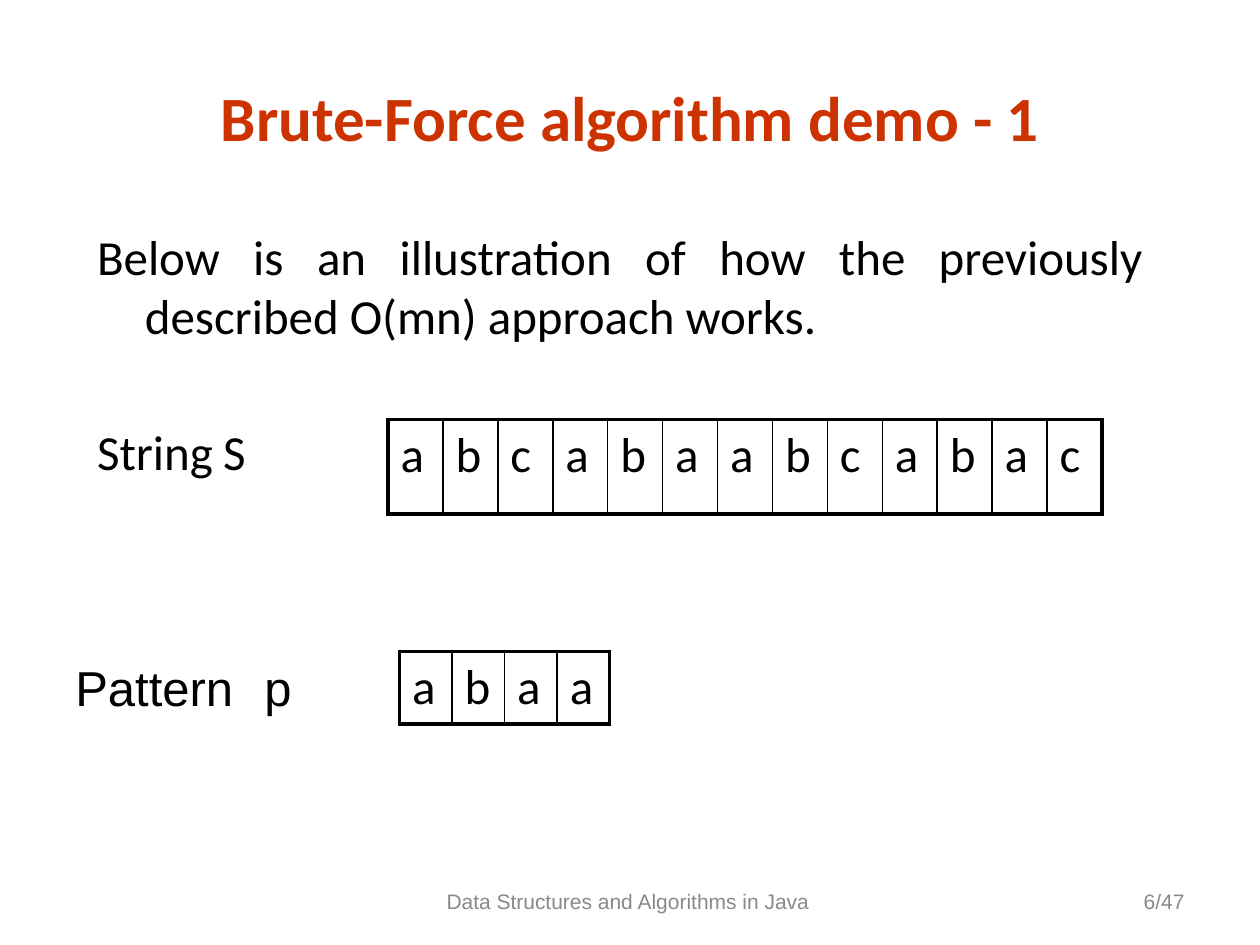
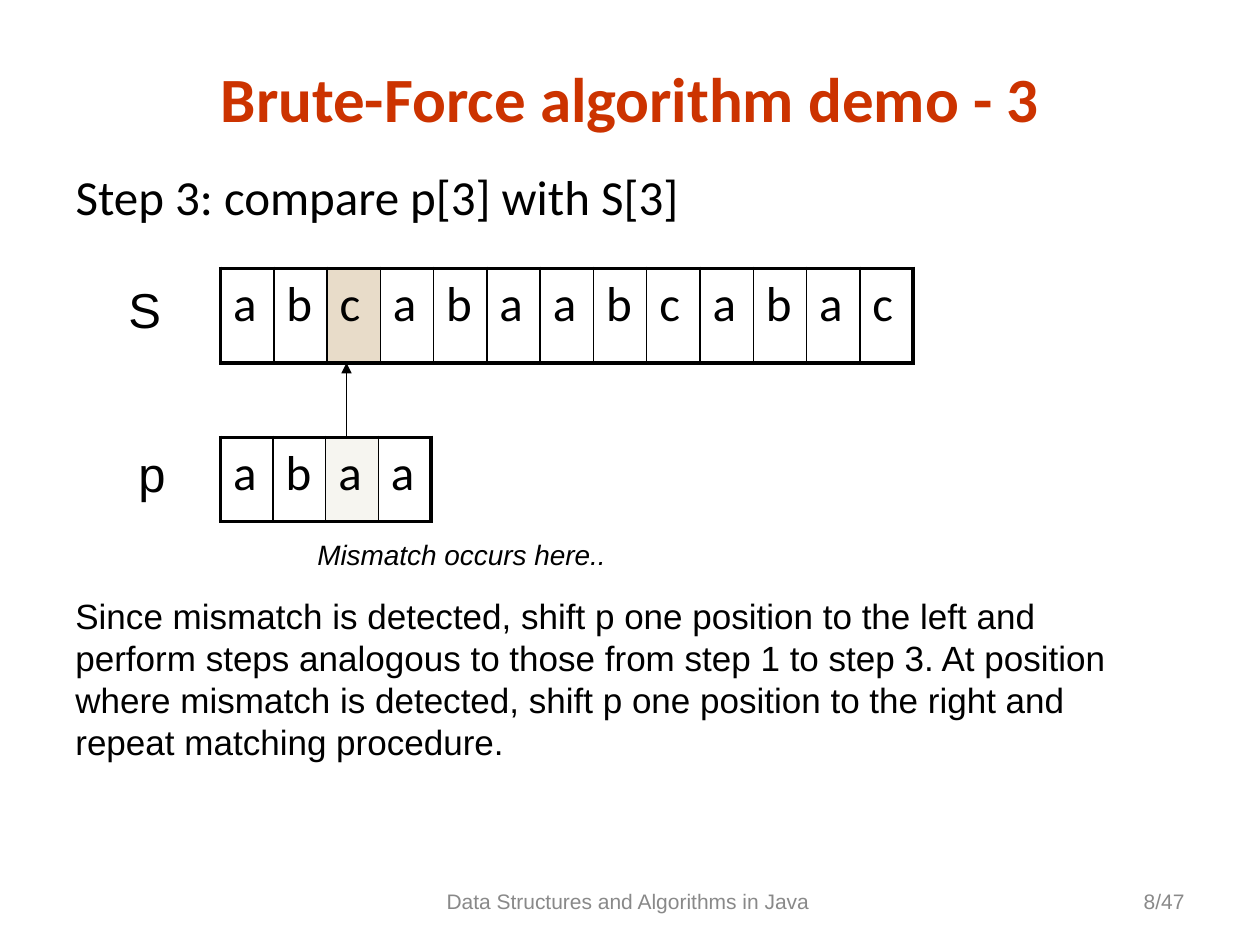
"""Build two slides that demonstrate brute-force string matching."""
import dataclasses

import lxml.etree
import pptx
import pptx.dml.color
import pptx.enum.shapes
import pptx.enum.text
import pptx.oxml.ns
import pptx.util

Inches = pptx.util.Inches
Pt = pptx.util.Pt
Color = pptx.dml.color.RGBColor.from_string
Align = pptx.enum.text.PP_ALIGN
Anchor = pptx.enum.text.MSO_ANCHOR
qn = pptx.oxml.ns.qn


@dataclasses.dataclass(frozen=True)
class Theme:
    """Colours, fonts and type sizes shared by the slides."""
    title: str = "CC3300"
    ink: str = "000000"
    footer: str = "898989"
    text_cell: str = "E8DCC9"
    pattern_cell: str = "F6F5F0"
    serifless: str = "Arial"
    main: str = "Calibri"
    title_size: float = 36
    large: float = 28
    medium: float = 20
    note: float = 16
    small: float = 12
    outer_line: float = 2.25
    inner_line: float = 1
    arrow_line: float = 0.75


theme = Theme()
STRING_S = "abcabaabcabac"
PATTERN_P = "abaa"
HANGING = Inches(0.38)


def write(box, area, lines, size, font=theme.serifless, color=theme.ink, align=Align.LEFT,
          anchor=Anchor.TOP, bold=False, italic=False, tab=None):
    """Place a text shape and fill it with formatted paragraphs."""
    box.left, box.top, box.width, box.height = map(Inches, area)
    frame = box.text_frame
    frame.word_wrap = True
    frame.auto_size = pptx.enum.text.MSO_AUTO_SIZE.NONE
    frame.vertical_anchor = anchor
    frame.text = "\n".join(lines)
    for para in frame.paragraphs:
        para.alignment = align
        para.space_before = Pt(0)
        properties = para._p.get_or_add_pPr()
        properties.set("marL", "0")
        properties.set("indent", "0")
        lxml.etree.SubElement(properties, qn("a:buNone"))
        if tab and "\t" in para.text:
            stops = lxml.etree.SubElement(properties, qn("a:tabLst"))
            lxml.etree.SubElement(stops, qn("a:tab"), pos=str(Inches(tab)), algn="l")
        for span in para.runs:
            span.font.name, span.font.size = font, Pt(size)
            span.font.bold, span.font.italic = bold, italic
            span.font.color.rgb = Color(color)
    return box


def add_letters(page, letters, area, marked=None, mark_color=None):
    """Add a one-row table with a letter per cell and one optional marked cell."""
    left, top, width, height = map(Inches, area)
    table = page.shapes.add_table(1, len(letters), left, top, width, height).table
    table.first_row = table.horz_banding = False
    last = len(letters) - 1
    for index, letter in enumerate(letters):
        table.columns[index].width = width // len(letters)
        cell = table.cell(0, index)
        cell.text = letter
        span = cell.text_frame.paragraphs[0].runs[0]
        span.font.name, span.font.size = theme.main, Pt(theme.large)
        span.font.color.rgb = Color(theme.ink)
        outer = {"lnL": index == 0, "lnR": index == last, "lnT": True, "lnB": True}
        for side, is_outer in outer.items():
            weight = theme.outer_line if is_outer else theme.inner_line
            border = lxml.etree.SubElement(cell._tc.get_or_add_tcPr(), qn(f"a:{side}"),
                                           w=str(int(Pt(weight))))
            fill = lxml.etree.SubElement(border, qn("a:solidFill"))
            lxml.etree.SubElement(fill, qn("a:srgbClr"), val=theme.ink)
        if index == marked:
            cell.fill.solid()
            cell.fill.fore_color.rgb = Color(mark_color)
        else:
            cell.fill.background()


deck = pptx.Presentation()
deck.slide_width, deck.slide_height = Inches(10), Inches(7.5)

pages = []
for demo, number, title_top in [(1, 6, 0.57), (3, 8, 0.42)]:
    page = deck.slides.add_slide(deck.slide_layouts[1])
    write(page.shapes.title, (0.5, title_top, 9, 0.7), [f"Brute-Force algorithm demo - {demo}"],
          theme.title_size, theme.main, theme.title, Align.CENTER, Anchor.MIDDLE, bold=True)
    for area, words, align in [
        ((3.4, 6.95, 3.17, 0.4), "Data Structures and Algorithms in Java", Align.CENTER),
        ((7.17, 6.95, 2.33, 0.4), f"{number}/47", Align.RIGHT),
    ]:
        write(page.shapes.add_textbox(0, 0, 0, 0), area, [words], theme.small,
              color=theme.footer, align=align, anchor=Anchor.MIDDLE)
    pages.append(page)
intro, step = pages

body = write(intro.placeholders[1], (0.67, 1.75, 8.5, 4.95),
             ["Below is an illustration of how the previously described O(mn) approach works.",
              "String\tS"],
             theme.large, theme.main, align=Align.JUSTIFY, tab=1.1)
illustration, string_label = body.text_frame.paragraphs
illustration._p.pPr.set("marL", str(HANGING))
illustration._p.pPr.set("indent", str(-HANGING))
string_label.alignment = Align.LEFT
string_label.space_before = Pt(44)
add_letters(intro, STRING_S, (3.08, 3.33, 5.67, 0.75))
write(intro.shapes.add_textbox(0, 0, 0, 0), (0.5, 5.17, 2.2, 0.57), ["Pattern\tp"],
      theme.large, tab=1.58)
add_letters(intro, PATTERN_P, (3.17, 5.17, 1.67, 0.57))

write(step.placeholders[1], (0.5, 1.27, 9, 0.57), ["Step 3: compare p[3] with S[3]"],
      theme.large, theme.main)
add_letters(step, STRING_S, (1.75, 2.13, 5.5, 0.75), 2, theme.text_cell)
add_letters(step, PATTERN_P, (1.75, 3.47, 1.67, 0.67), 2, theme.pattern_cell)
for label, left, top in [("S", 0.92, 2.17), ("p", 1, 3.47)]:
    write(step.shapes.add_textbox(0, 0, 0, 0), (left, top, 0.5, 0.57), [label], theme.large)
write(step.shapes.add_textbox(0, 0, 0, 0), (2.42, 4.22, 2.6, 0.37),
      ["Mismatch occurs here.."], theme.note, italic=True)
write(step.shapes.add_textbox(0, 0, 0, 0), (0.5, 4.67, 8.6, 1.43),
      ["Since mismatch is detected, shift p one position to the left and",
       "perform steps analogous to those from step 1 to step 3. At position",
       "where mismatch is detected, shift p one position to the right and",
       "repeat matching procedure."], theme.medium)

arrow = step.shapes.add_connector(pptx.enum.shapes.MSO_CONNECTOR.STRAIGHT,
                                  Inches(2.75), Inches(3.47), Inches(2.75), Inches(2.88))
arrow.line.color.rgb = Color(theme.ink)
arrow.line.width = Pt(theme.arrow_line)
lxml.etree.SubElement(arrow.line._get_or_add_ln(), qn("a:tailEnd"), type="triangle")
lxml.etree.SubElement(arrow._element.spPr, qn("a:effectLst"))

deck.save("out.pptx")
